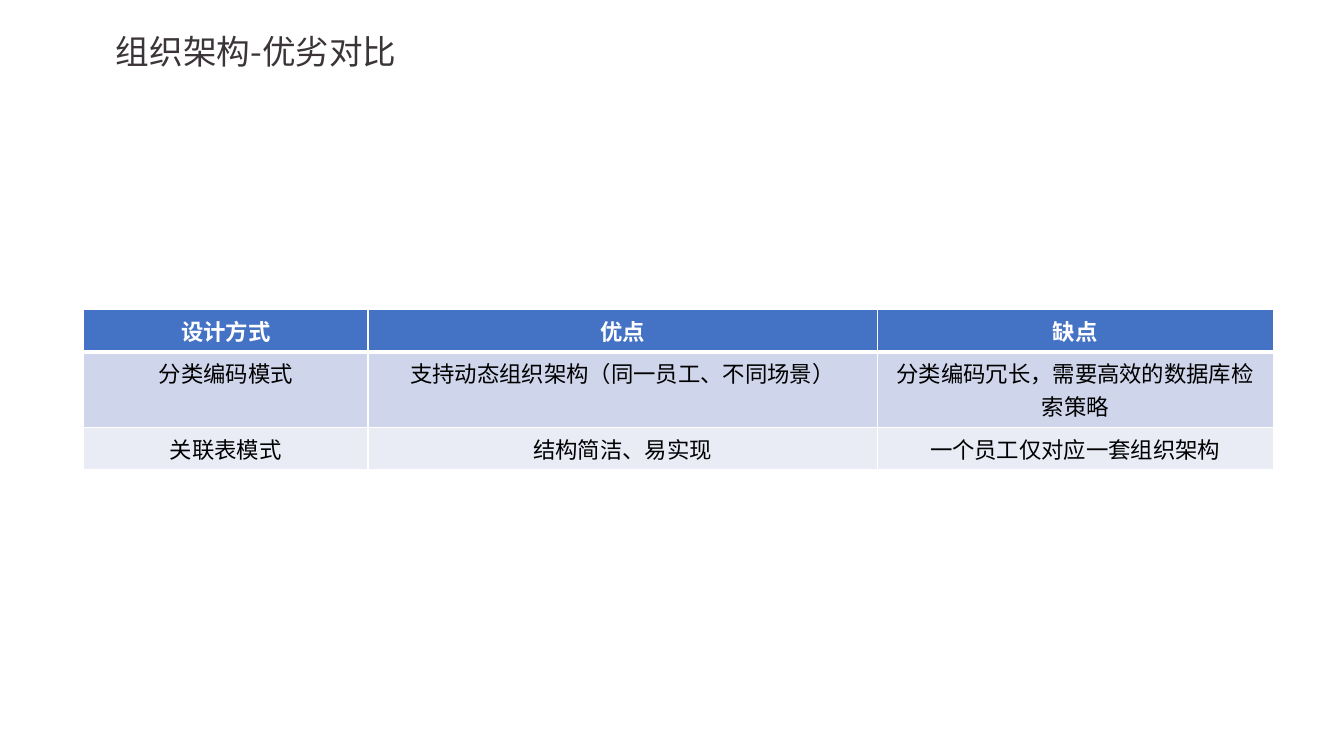
import pptx
import pptx.util
import pptx.dml.color
import pptx.enum.text
import pptx.oxml
import pptx.oxml.ns
from lxml import etree

Inches, Pt = pptx.util.Inches, pptx.util.Pt
RGBColor = pptx.dml.color.RGBColor
ALIGN = pptx.enum.text.PP_ALIGN
ANCHOR = pptx.enum.text.MSO_ANCHOR
qn = pptx.oxml.ns.qn

FONT = "Noto Sans CJK SC"
TITLE_COLOR = RGBColor(0x3B, 0x34, 0x39)
WHITE = RGBColor(0xFF, 0xFF, 0xFF)
BLACK = RGBColor(0x00, 0x00, 0x00)
HEADER_FILL = RGBColor(0x44, 0x72, 0xC4)
BAND_FILLS = [RGBColor(0xCF, 0xD5, 0xEA), RGBColor(0xE9, 0xEB, 0xF5)]


class SlideBuilder:
    """Holds the text style and the current slide."""

    def __init__(self, s, font):
        self.s = s
        self.font = font

    def run(self, p, text, size, color, bold=False):
        r = p.add_run()
        r.text = text
        r.font.size = Pt(size)
        r.font.bold = bold
        r.font.color.rgb = color
        r.font.name = self.font
        ea = etree.SubElement(r.font._element, qn("a:ea"))
        ea.set("typeface", self.font)

    def title(self, text, left, top, width, height):
        sp = self.s.shapes.title
        sp.left, sp.top = Inches(left), Inches(top)
        sp.width, sp.height = Inches(width), Inches(height)
        tf = sp.text_frame
        tf.word_wrap = True
        tf.vertical_anchor = ANCHOR.MIDDLE
        p = tf.paragraphs[0]
        p.alignment = ALIGN.LEFT
        p.line_spacing = 0.9
        self.run(p, text, 24, TITLE_COLOR)

    def border(self, cell, side, width):
        tc_pr = cell._tc.get_or_add_tcPr()
        ln = etree.SubElement(tc_pr, qn("a:ln" + side), w=str(Pt(width)))
        fill = etree.SubElement(ln, qn("a:solidFill"))
        etree.SubElement(fill, qn("a:srgbClr"), val=str(WHITE))

    def cell(self, cell, text, row):
        header = row == 0
        # Borders come before the fill in the cell properties
        widths = {"L": 1, "R": 1, "T": 3 if row == 1 else 1, "B": 3 if header else 1}
        for side, width in widths.items():
            self.border(cell, side, width)
        cell.fill.solid()
        cell.fill.fore_color.rgb = HEADER_FILL if header else BAND_FILLS[(row - 1) % 2]
        p = cell.text_frame.paragraphs[0]
        p.alignment = ALIGN.CENTER
        self.run(p, text, 16, WHITE if header else BLACK, bold=header)

    def table(self, rows, left, top, col_widths, row_heights):
        frame = self.s.shapes.add_table(
            len(rows), len(col_widths), Inches(left), Inches(top),
            Inches(sum(col_widths)), Inches(sum(row_heights)))
        table = frame.table
        for column, width in zip(table.columns, col_widths):
            column.width = Inches(width)
        for i, (texts, height) in enumerate(zip(rows, row_heights)):
            table.rows[i].height = Inches(height)
            for j, text in enumerate(texts):
                self.cell(table.cell(i, j), text, i)


def main():
    prs = pptx.Presentation()
    prs.slide_width, prs.slide_height = Inches(13.33), Inches(7.5)
    s = prs.slides.add_slide(prs.slide_layouts[5])
    builder = SlideBuilder(s, FONT)

    # Title
    builder.title("组织架构-优劣对比", 1.05, 0.23, 5.24, 0.6)

    # Comparison table
    rows = [
        ["设计方式", "优点", "缺点"],
        ["分类编码模式", "支持动态组织架构（同一员工、不同场景）",
         "分类编码冗长，需要高效的数据库检索策略"],
        ["关联表模式", "结构简洁、易实现", "一个员工仅对应一套组织架构"],
    ]
    builder.table(rows, 0.83, 3.07, [2.82, 5.05, 3.93], [0.41, 0.75, 0.41])

    prs.save("out.pptx")


if __name__ == "__main__":
    main()
